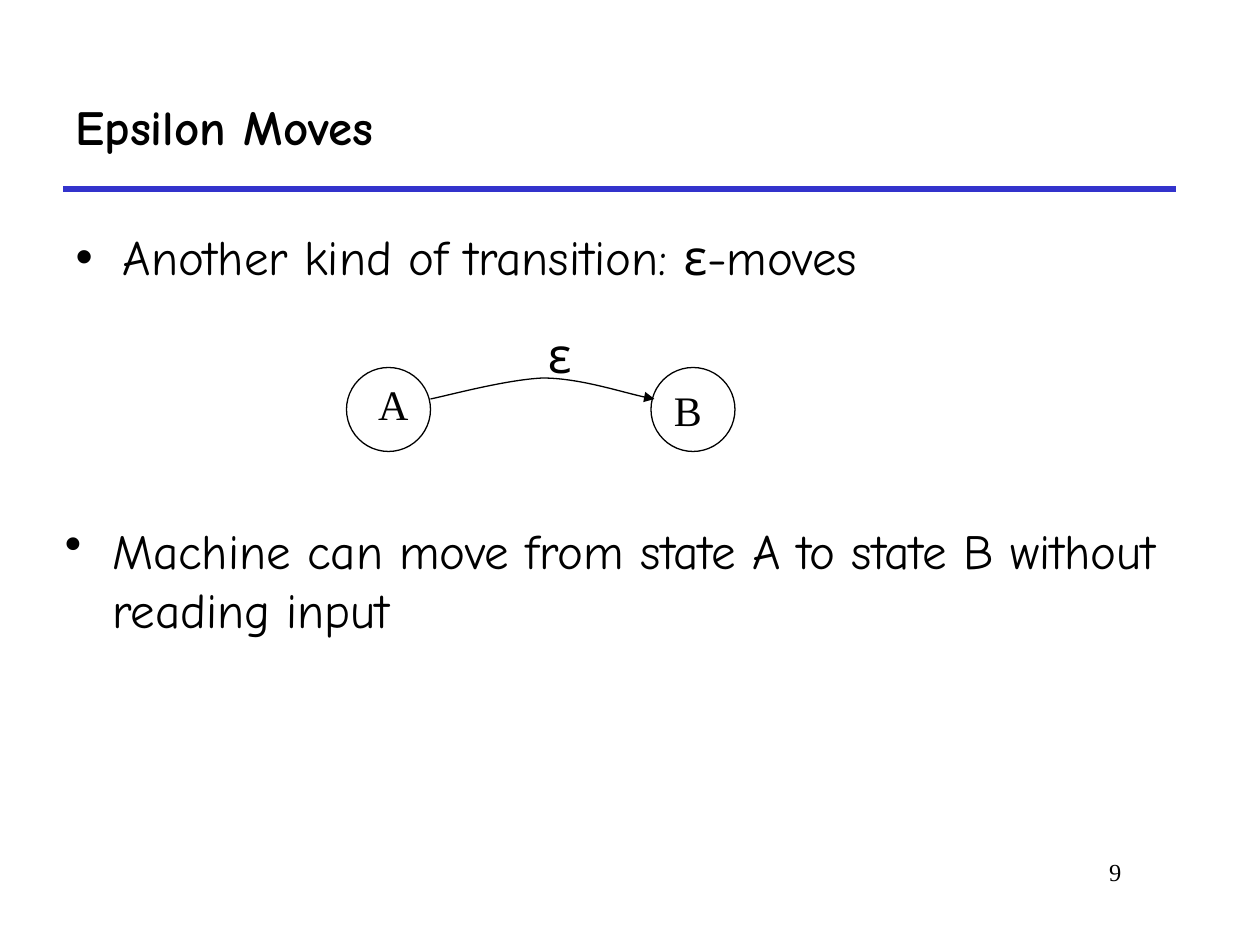
from lxml import etree
from pptx import Presentation
from pptx import util as u
from pptx.dml.color import RGBColor
from pptx.enum import shapes, text
from pptx.oxml.ns import qn

Pt = u.Pt
HEX = {"ink": "000000", "rule": "3333CC"}
HAND, SERIF = "Comic Neue", "Times New Roman"


def tint(name):
    return RGBColor.from_string(HEX[name])


def place(shape, box):
    shape.left, shape.top, shape.width, shape.height = map(Pt, box)


def bullet(para, hang=27):
    props = para._p.get_or_add_pPr()
    props.set("marL", str(Pt(hang)))
    props.set("indent", str(-Pt(hang)))
    etree.SubElement(props, qn("a:buChar")).set("char", "•")


def write(shape, words, face, size, mark=False, bold=False, wrap=True,
          align=text.PP_ALIGN.LEFT, anchor=text.MSO_ANCHOR.TOP):
    frame = shape.text_frame
    frame.text = words
    frame.word_wrap = wrap
    frame.auto_size = text.MSO_AUTO_SIZE.NONE
    frame.vertical_anchor = anchor
    para = frame.paragraphs[0]
    para.space_before = Pt(0)
    if mark:
        bullet(para)
    para.alignment = align
    font = para.runs[0].font
    font.name, font.size, font.bold = face, Pt(size), bold
    font.color.rgb = tint("ink")


def label(slide, box, words, face, size, **opts):
    shape = slide.shapes.add_textbox(*map(Pt, box))
    write(shape, words, face, size, **opts)


def stroke(shape, name, width):
    shape.line.color.rgb = tint(name)
    shape.line.width = Pt(width)


def rule(slide, left, right, y):
    line = slide.shapes.add_connector(
        shapes.MSO_CONNECTOR.STRAIGHT, Pt(left), Pt(y), Pt(right), Pt(y))
    stroke(line, "rule", 3)
    etree.SubElement(line._element.spPr, qn("a:effectLst"))


def state(slide, left, top, size=48):
    ring = slide.shapes.add_shape(
        shapes.MSO_SHAPE.OVAL, Pt(left), Pt(top), Pt(size), Pt(size))
    ring.shadow.inherit = False
    ring.fill.background()
    stroke(ring, "ink", 0.75)


def arc(slide, start, points):
    """Draw a curve with an arrowhead; every three points make one Bezier."""
    pen = slide.shapes.build_freeform(*start, scale=Pt(1) / 1.0)
    pen.add_line_segments(points, close=False)
    curve = pen.convert_to_shape()
    curve.shadow.inherit = False
    curve.fill.background()
    stroke(curve, "ink", 0.75)
    steps = list(curve._element.iter(qn("a:lnTo")))
    for i in range(0, len(steps), 3):
        bend = etree.Element(qn("a:cubicBezTo"))
        steps[i].addprevious(bend)
        for step in steps[i:i + 3]:
            bend.append(step[0])
            step.getparent().remove(step)
    etree.SubElement(curve.line._get_or_add_ln(),
                     qn("a:tailEnd")).set("type", "triangle")


def main():
    deck = Presentation()
    deck.slide_width, deck.slide_height = Pt(720), Pt(540)
    slide = deck.slides.add_slide(deck.slide_layouts[1])

    # Heading and rule
    rule(slide, 36, 672, 108)
    title, body = slide.placeholders
    place(title, (36, 36, 636, 72))
    write(title, "Epsilon Moves", HAND, 28, bold=True,
          anchor=text.MSO_ANCHOR.MIDDLE)

    # Bullets
    place(body, (36, 126, 654, 54))
    write(body, "Another kind of transition: ε-moves", HAND, 28, mark=True)
    label(slide, (30, 294, 654, 78),
          "Machine can move from state A to state B without reading input",
          HAND, 28, mark=True)

    # State diagram
    for left in (198, 372):
        state(slide, left, 210)
    arc(slide, (246, 228), [(256, 226), (289, 217), (310, 216.5),
                            (331, 216), (361, 225.5), (374, 227.5)])
    label(slide, (306, 182, 27, 41), "ε", HAND, 28, wrap=False)
    label(slide, (209, 213, 32, 36), "A", SERIF, 24, wrap=False)
    label(slide, (378, 216, 30, 36), "B", SERIF, 24, wrap=False)

    # Page number
    label(slide, (546, 486, 102, 36), "9", SERIF, 14,
          align=text.PP_ALIGN.RIGHT)

    deck.save("out.pptx")


if __name__ == "__main__":
    main()
